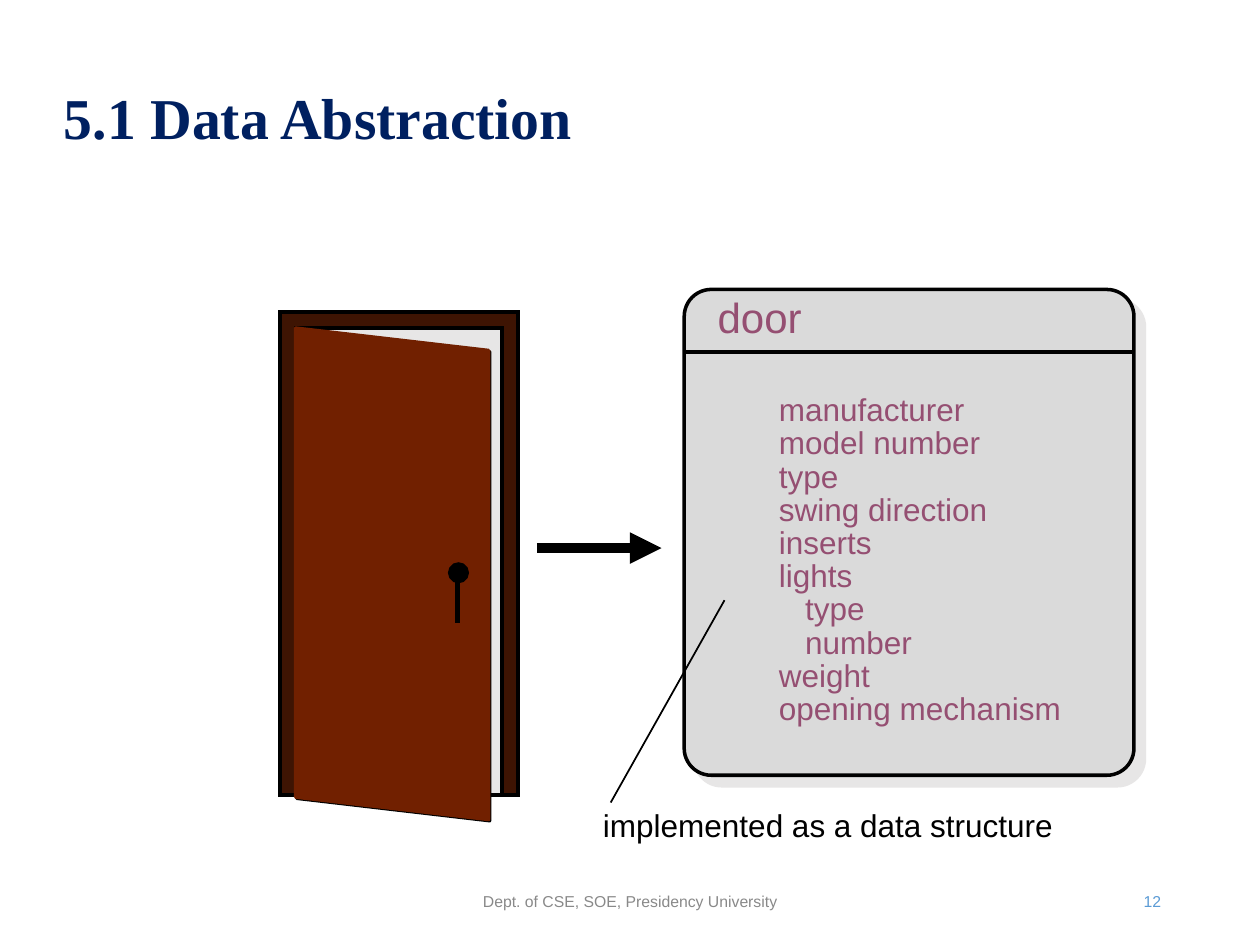
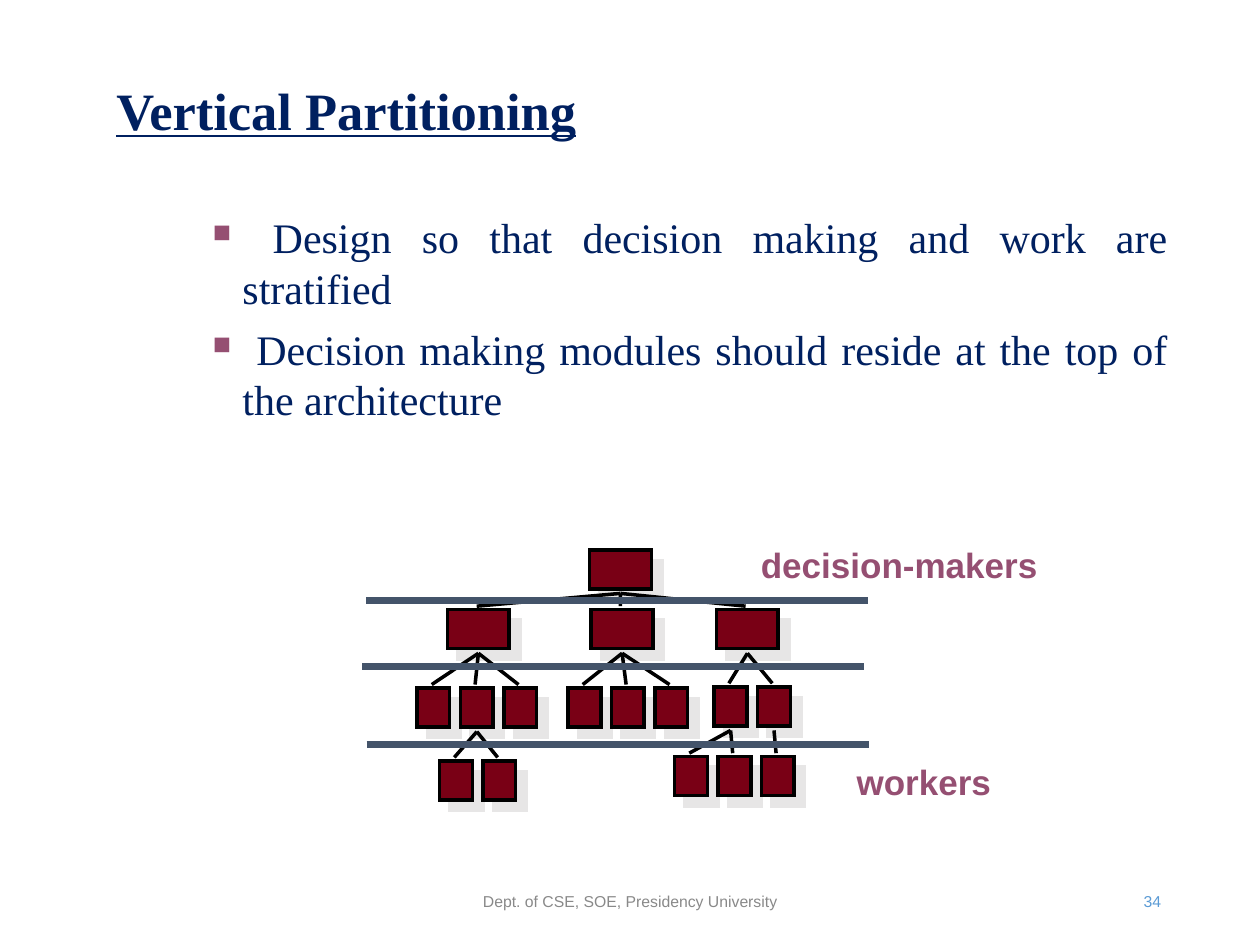
from lxml.etree import SubElement
from pptx import Presentation
from pptx.dml.color import RGBColor
from pptx.enum.shapes import MSO_CONNECTOR, MSO_SHAPE
from pptx.enum.text import MSO_ANCHOR, MSO_AUTO_SIZE, PP_ALIGN
from pptx.oxml import parse_xml
from pptx.oxml.ns import nsdecls, qn
from pptx.util import Pt

NAVY = RGBColor(0x00, 0x20, 0x60)
PLUM = RGBColor(0x95, 0x4F, 0x72)
BLACK = RGBColor(0x00, 0x00, 0x00)
FOOTER_GREY = RGBColor(0x89, 0x89, 0x89)
NUMBER_BLUE = RGBColor(0x5B, 0x9B, 0xD5)
CARD_GREY = RGBColor(0xDA, 0xDA, 0xDA)
PALE_GREY = RGBColor(0xE7, 0xE6, 0xE6)
FRAME_BROWN = RGBColor(0x3E, 0x14, 0x03)
DOOR_BROWN = RGBColor(0x71, 0x20, 0x00)
MODULE_RED = RGBColor(0x79, 0x00, 0x15)
SLATE = RGBColor(0x44, 0x54, 0x6A)
SANS, SERIF = "Arial", "Times New Roman"

ATTRIBUTES = [
    ("manufacturer", 0), ("model number", 0), ("type", 0), ("swing direction", 0),
    ("inserts", 0), ("lights", 0), ("type", 1), ("number", 1), ("weight", 0),
    ("opening mechanism", 0),
]
DESIGN_RULES = [
    " Design so that decision making and work are stratified",
    " Decision making modules should reside at the top of the architecture",
]
MODULE_HEIGHT, WIDE, NARROW, PITCH = 22.3, 35.3, 18.7, 24.8


def set_font(paragraph, name, size, color, bold=False):
    font = paragraph.font
    font.name, font.size, font.bold = name, Pt(size), bold
    font.color.rgb = color


def add_text(slide, box, text, size, color, align=PP_ALIGN.LEFT, bold=False,
             wrap=False, anchor=MSO_ANCHOR.TOP):
    frame = slide.shapes.add_textbox(*map(Pt, box)).text_frame
    frame.word_wrap, frame.vertical_anchor = wrap, anchor
    paragraph = frame.paragraphs[0]
    paragraph.text, paragraph.alignment = text, align
    set_font(paragraph, SANS, size, color, bold)


def style_shape(shape, fill, line=BLACK):
    shape.shadow.inherit = False
    shape.fill.solid()
    shape.fill.fore_color.rgb = fill
    shape.line.color.rgb = line
    shape.line.width = Pt(2)


def add_box(slide, kind, box, fill):
    """Add an outlined shape with sharp corners."""
    shape = slide.shapes.add_shape(kind, *map(Pt, box))
    style_shape(shape, fill)
    SubElement(shape.line._get_or_add_ln(), qn("a:miter"), lim="800000")
    return shape


def add_hard_shadow(shape):
    """Give the shape an unblurred pale shadow to its lower right."""
    effects = shape._element.spPr.find(qn("a:effectLst"))
    effects.append(parse_xml(
        f'<a:outerShdw {nsdecls("a")} dist="{Pt(8.5)}" dir="2700000" algn="ctr" '
        f'rotWithShape="0"><a:srgbClr val="{PALE_GREY}"/></a:outerShdw>'))


def add_line(slide, start, end, width=2, color=BLACK, arrow=False):
    line = slide.shapes.add_connector(
        MSO_CONNECTOR.STRAIGHT, *map(Pt, (*start, *end)))
    line.line.color.rgb = color
    line.line.width = Pt(width)
    if arrow:
        SubElement(line.line._get_or_add_ln(), qn("a:tailEnd"), type="triangle")
    SubElement(line._element.spPr, qn("a:effectLst"))


def add_titled_slide(presentation, title, box, size, number,
                     align=PP_ALIGN.LEFT, underline=False):
    """Add a slide with its title, the department footer and the page number."""
    slide = presentation.slides.add_slide(presentation.slide_layouts[5])
    shape = slide.shapes.title
    shape.left, shape.top, shape.width, shape.height = map(Pt, box)
    frame = shape.text_frame
    frame.auto_size = MSO_AUTO_SIZE.NONE
    frame.vertical_anchor = MSO_ANCHOR.MIDDLE
    frame.margin_left = frame.margin_right = Pt(5)
    frame.margin_top = frame.margin_bottom = Pt(2.4)
    paragraph = frame.paragraphs[0]
    paragraph.text, paragraph.alignment = title, align
    paragraph.line_spacing = 0.9
    set_font(paragraph, SERIF, size, NAVY, bold=True)
    paragraph.font.underline = underline

    add_text(slide, (238.5, 500.5, 243, 28.8), "Dept. of CSE, SOE, Presidency University",
             9, FOOTER_GREY, PP_ALIGN.CENTER, wrap=True, anchor=MSO_ANCHOR.MIDDLE)
    add_text(slide, (508.5, 500.5, 162, 28.8), number, 9, NUMBER_BLUE,
             PP_ALIGN.RIGHT, wrap=True, anchor=MSO_ANCHOR.MIDDLE)
    return slide


def add_attribute_card(slide, left, top, width, height):
    card = add_box(slide, MSO_SHAPE.ROUNDED_RECTANGLE, (left, top, width, height), CARD_GREY)
    card.adjustments[0] = 0.06
    add_hard_shadow(card)
    add_line(slide, (left, top + 35.9), (left + width, top + 35.9))
    add_text(slide, (left + 12, top - 2.5, 63, 36), "door", 24, PLUM)

    frame = slide.shapes.add_textbox(
        Pt(left + 47), Pt(top + 56.7), Pt(width - 70), Pt(197)).text_frame
    for index, (attribute, level) in enumerate(ATTRIBUTES):
        paragraph = frame.paragraphs[0] if index == 0 else frame.add_paragraph()
        paragraph.text = attribute
        paragraph.line_spacing = Pt(18.97)
        paragraph._p.get_or_add_pPr().set("marL", str(Pt(15 * level)))
        set_font(paragraph, SANS, 18, PLUM)


def add_door_leaf(slide, left, top, color):
    width, height, slant = 110.2, 268, 12.8
    builder = slide.shapes.build_freeform(Pt(left), Pt(top))
    corners = [(left + width, top + slant), (left + width, top + slant + height),
               (left, top + height)]
    builder.add_line_segments([(Pt(x), Pt(y)) for x, y in corners], close=True)
    style_shape(builder.convert_to_shape(), color, color)


def add_open_door(slide, left, top, width, height):
    add_box(slide, MSO_SHAPE.RECTANGLE, (left, top, width, height), FRAME_BROWN)
    add_box(slide, MSO_SHAPE.RECTANGLE,
            (left + 9, top + 9, width - 18, height - 9), PALE_GREY)
    add_door_leaf(slide, left + 9.6, top + 9.9, BLACK)
    add_door_leaf(slide, left + 9, top + 9.2, DOOR_BROWN)
    add_box(slide, MSO_SHAPE.OVAL, (left + 97, top + 144, 10, 10), BLACK)
    add_box(slide, MSO_SHAPE.RECTANGLE, (left + 101.3, top + 153, 0.8, 23.5), BLACK)


def build_data_abstraction(presentation):
    slide = add_titled_slide(presentation, "5.1 Data Abstraction",
                             (16.5, 45.5, 330.5, 47.5), 33, "12", PP_ALIGN.CENTER)
    add_attribute_card(slide, 391, 165.4, 257, 277.6)
    add_line(slide, (414, 343), (349, 458.6), width=1)
    add_text(slide, (337.5, 457, 271.5, 29), "implemented as a data structure", 18, BLACK)
    add_open_door(slide, 160, 178.3, 136, 276)
    add_line(slide, (306.8, 313.2), (378, 313.2), width=6, arrow=True)


def add_bullets(slide, left, top, width, height):
    frame = slide.shapes.add_textbox(*map(Pt, (left, top, width, height))).text_frame
    frame.word_wrap = True
    for index, rule in enumerate(DESIGN_RULES):
        paragraph = frame.paragraphs[0] if index == 0 else frame.add_paragraph()
        paragraph.text, paragraph.alignment = rule, PP_ALIGN.JUSTIFY
        paragraph.space_before = Pt(6 if index else 0)
        properties = paragraph._p.get_or_add_pPr()
        properties.set("marL", str(Pt(17)))
        properties.set("indent", str(-Pt(17)))
        bullet_color = SubElement(properties, qn("a:buClr"))
        SubElement(bullet_color, qn("a:srgbClr"), val=str(PLUM))
        SubElement(properties, qn("a:buSzPct"), val="60000")
        SubElement(properties, qn("a:buChar"), char="■")
        set_font(paragraph, SERIF, 24, NAVY)


def module_row(first_centre, top, children_by_position):
    """Space sibling modules evenly; a module is (centre, top, width, children)."""
    return [(first_centre + PITCH * position, top, NARROW, children)
            for position, children in enumerate(children_by_position)]


def module_tree():
    left_workers = module_row(53.6, 120.8, [[], []])
    right_workers = module_row(187.9, 118.4, [[], [], []])
    managers = [
        (66.4, 34.4, WIDE, module_row(40.7, 79.2, [[], left_workers, []])),
        (148.5, 34.4, WIDE, module_row(127, 79.2, [[], [], []])),
        (220.1, 34.4, WIDE,
         module_row(210.5, 78.5, [right_workers[:2], right_workers[2:]])),
    ]
    return 147.6, 0.2, WIDE, managers


def walk(module, parent=None):
    yield parent, module
    for child in module[3]:
        yield from walk(child, module)


def add_hierarchy(slide, left, top):
    pairs = list(walk(module_tree()))
    for _, (centre, offset, width, _) in pairs:
        box = (left + centre - width / 2, top + offset, width, MODULE_HEIGHT)
        add_hard_shadow(add_box(slide, MSO_SHAPE.RECTANGLE, box, MODULE_RED))
    for parent, child in pairs[1:]:
        add_line(slide, (left + parent[0], top + parent[1] + MODULE_HEIGHT + 2.6),
                 (left + child[0] - 1, top + child[1] - 2))
    for shift, offset in [(0, 67), (2.5, 111.5), (2.2, 29.3)]:
        add_line(slide, (left + shift, top + offset),
                 (left + shift + 287, top + offset), width=4, color=SLATE)
    add_text(slide, (left + 275.4, top + 117.3, 91.5, 31), "workers", 20, PLUM, bold=True)
    add_text(slide, (left + 220.7, top - 7, 173, 31), "decision-makers", 20, PLUM, bold=True)


def build_vertical_partitioning(presentation):
    slide = add_titled_slide(presentation, "Vertical Partitioning",
                             (61.5, 44.5, 276, 40.5), 30, "34", underline=True)
    add_bullets(slide, 114.5, 117.4, 560, 204)
    add_hierarchy(slide, 207, 314)


def main():
    presentation = Presentation()
    presentation.slide_width, presentation.slide_height = Pt(720), Pt(540)
    build_data_abstraction(presentation)
    build_vertical_partitioning(presentation)
    presentation.save("out.pptx")


if __name__ == "__main__":
    main()
